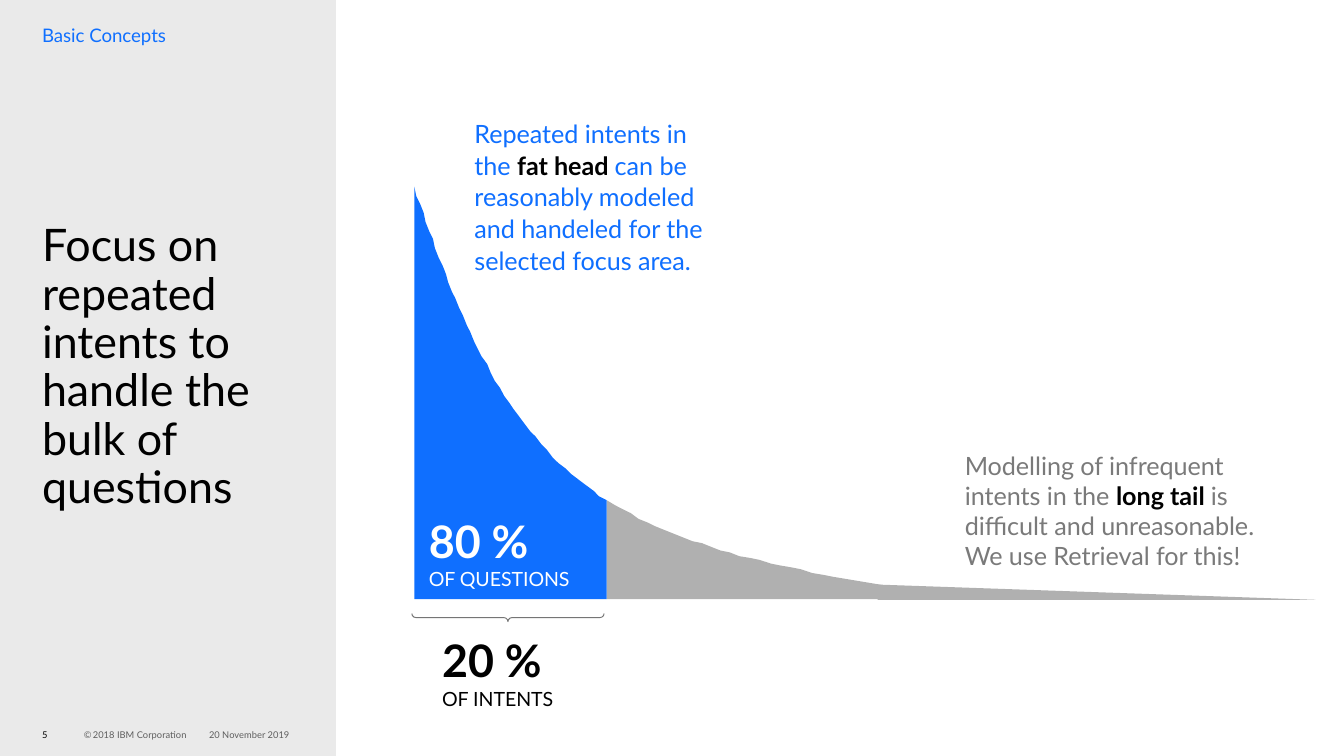
"""Build a slide on the fat head and long tail of user intents."""
from lxml import etree
from pptx import Presentation
from pptx.dml.color import RGBColor
from pptx.enum import shapes, text
from pptx.util import Pt

BLACK = RGBColor(0, 0, 0)
WHITE = RGBColor(255, 255, 255)
BLUE = RGBColor(0x0F, 0x6F, 0xFF)
PANEL = RGBColor(0xEA, 0xEA, 0xEA)
TAIL = RGBColor(0xB0, 0xB0, 0xB0)
GREY = RGBColor(0x7A, 0x7A, 0x7A)
DIM = RGBColor(0x5E, 0x5E, 0x5E)
BRACE = RGBColor(0x75, 0x75, 0x75)

deck = Presentation()
deck.slide_width, deck.slide_height = Pt(720), Pt(405)
slide = deck.slides.add_slide(deck.slide_layouts[6])
pool = slide.shapes


def write(paras, left, top, width, height, gap=1.0, pad=(0, 0, 0, 0),
          anchor=text.MSO_ANCHOR.TOP):
    box = pool.add_textbox(Pt(left), Pt(top), Pt(width), Pt(height))
    frame = box.text_frame
    frame.word_wrap = True
    frame.vertical_anchor = anchor
    frame.margin_left, frame.margin_top, frame.margin_right, frame.margin_bottom = map(Pt, pad)
    for i, runs in enumerate(paras):
        para = frame.add_paragraph() if i else frame.paragraphs[0]
        para.line_spacing = gap
        for words, size, color, bold in runs:
            run = para.add_run()
            run.text = words
            run.font.name = "Lato"
            run.font.size = Pt(size)
            run.font.bold = bold
            run.font.color.rgb = color


def paint(shape, color):
    shape.shadow.inherit = False
    shape.fill.solid()
    shape.fill.fore_color.rgb = color
    shape.line.fill.background()


paint(pool.add_shape(shapes.MSO_SHAPE.RECTANGLE, 0, 0, Pt(180), Pt(405)), PANEL)

base, split = 321.36, 324.72
bends = [
    [(221.76, 100.08), (243.36, 162.72), (265.68, 226.08), (317.52, 262.8)],
    [(317.52, 262.8), (368.64, 299.52), (449.28, 310.32), (529.2, 321.12)],
]
curve = []
for bend in bends:
    for step in range(41):
        t = step / 40
        parts = ((1 - t) ** 3, 3 * t * (1 - t) ** 2, 3 * t * t * (1 - t), t ** 3)
        curve.append(tuple(sum(w * p[axis] for w, p in zip(parts, bend)) for axis in (0, 1)))
edge = (split, 267.7)
left = [p for p in curve if p[0] < split] + [edge, (split, base), (221.76, base)]
right = [edge] + [p for p in curve if p[0] > split] + [(529.2, base), (split, base)]
for points, color in ((right, TAIL), (left, BLUE)):
    pen = pool.build_freeform(*points[0], scale=Pt(1))
    pen.add_line_segments(points[1:], close=True)
    paint(pen.convert_to_shape(), color)

paint(pool.add_shape(shapes.MSO_SHAPE.RIGHT_TRIANGLE, Pt(470.16), Pt(313.2),
                     Pt(234.72), Pt(8.16)), TAIL)

brace = pool.add_shape(shapes.MSO_SHAPE.LEFT_BRACE, Pt(270), Pt(279.36), Pt(4.32), Pt(102.96))
brace.rotation = 270
brace.adjustments[0], brace.adjustments[1] = 0.51, 0.5
brace.shadow.inherit = False
brace.fill.background()
brace.line.color.rgb = BRACE
brace.line.width = Pt(0.5)

write([[("Basic Concepts", 10, BLUE, False)]], 22.5, 13, 146, 40)
write([[("Focus on repeated intents to handle the bulk of questions", 24, BLACK, False)]],
      22.5, 101.5, 146, 180, gap=0.9, pad=(0, 18, 0, 0))
write([[("Repeated intents in the ", 13.5, BLUE, False), ("fat head ", 13.5, BLACK, True),
        ("can be reasonably modeled and handeled for the selected focus area.", 13.5, BLUE, False)]],
      254.2, 62.6, 134.6, 81.4, gap=1.05)
write([[("Modelling of infrequent intents in the ", 13.5, GREY, False),
        ("long tail ", 13.5, BLACK, True),
        ("is difficult and unreasonable. We use Retrieval for this!", 13.5, GREY, False)]],
      509.8, 237.6, 177.8, 72.7, pad=(7.2, 3.6, 7.2, 3.6))

for share, label, color, x, y, width in (
        ("80 %", "OF QUESTIONS", WHITE, 229.7, 275, 85.7),
        ("20 %", "OF INTENTS", BLACK, 236.9, 339.1, 72)):
    write([[(share, 24, color, True)], [(label, 10.5, color, False)]], x, y, width, 46)

for runs, x, width in (
        ([("5", 5, BLACK, False)], 22.5, 15.8),
        ([("©", 5, DIM, False), (" ", 2.5, DIM, False),
          ("2018 IBM Corporation", 5, DIM, False)], 44.9, 62),
        ([("20 November 2019", 5, DIM, False)], 112, 66)):
    write([runs], x, 388.8, width, 10.8, gap=0.9, anchor=text.MSO_ANCHOR.MIDDLE)

deck.save("out.pptx")
